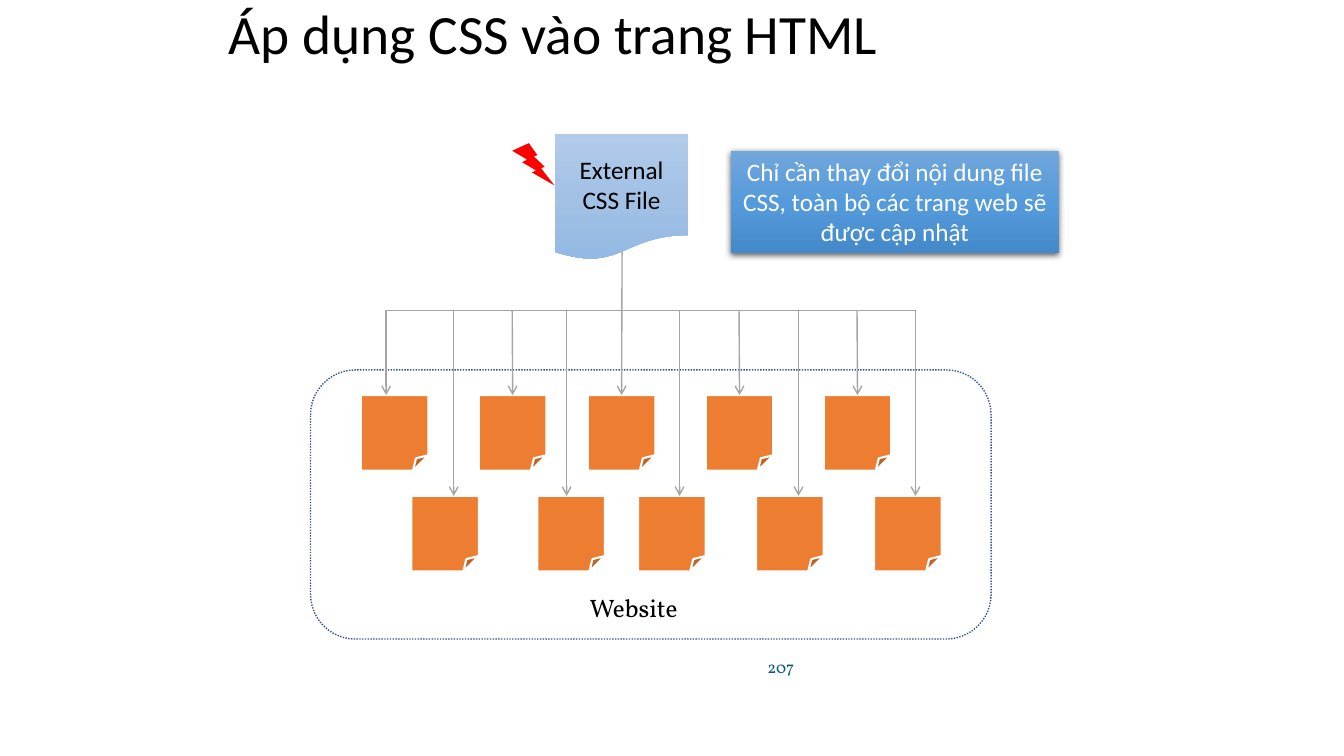
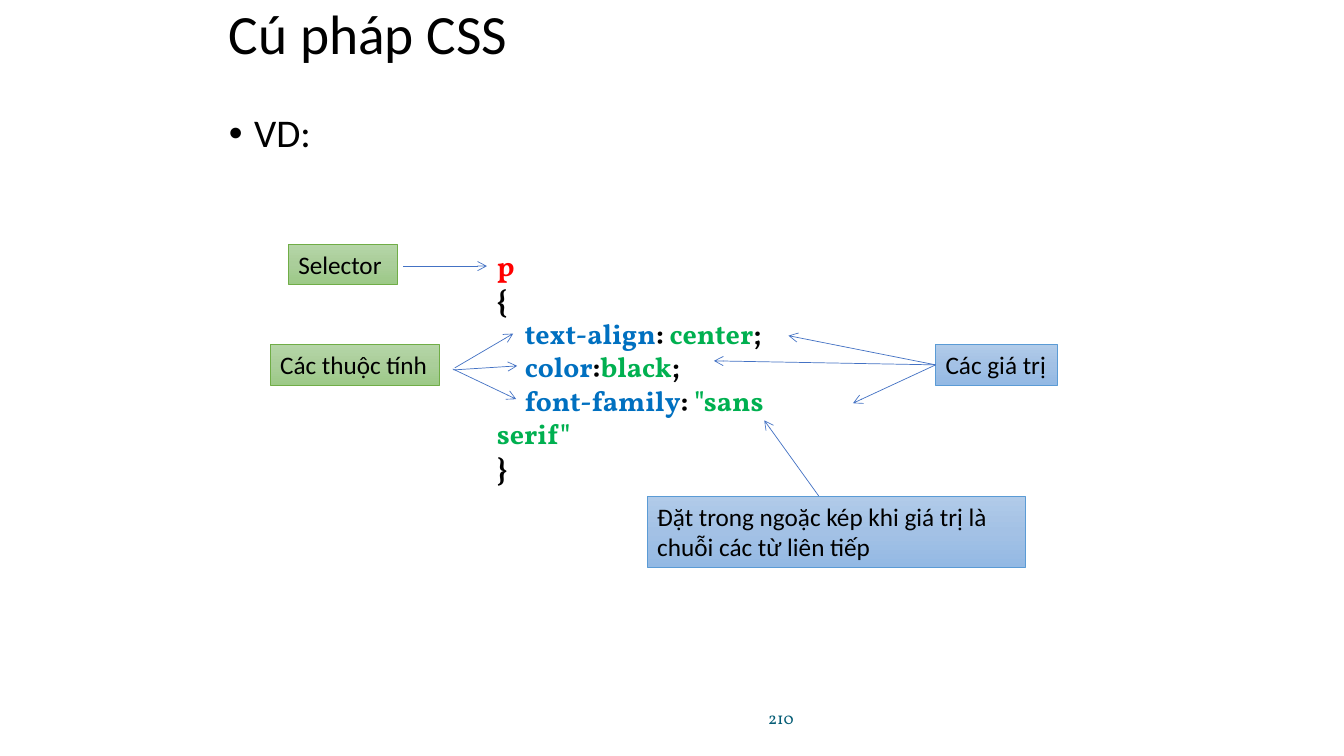
from copy import deepcopy

from lxml import etree
from pptx import Presentation
from pptx.dml.color import RGBColor
from pptx.enum.dml import MSO_LINE
from pptx.enum.shapes import MSO_CONNECTOR, MSO_SHAPE
from pptx.enum.text import MSO_ANCHOR, MSO_AUTO_SIZE, PP_ALIGN
from pptx.oxml.ns import qn
from pptx.util import Inches, Pt

LEFT, CENTER = PP_ALIGN.LEFT, PP_ALIGN.CENTER
TOP, MIDDLE = MSO_ANCHOR.TOP, MSO_ANCHOR.MIDDLE
TOP_SIDE, LEFT_SIDE = 0, 1
SANS, SERIF = "Calibri", "Vollkorn"

BLACK = RGBColor(0x00, 0x00, 0x00)
WHITE = RGBColor(0xFF, 0xFF, 0xFF)
RED = RGBColor(0xFF, 0x00, 0x00)
ORANGE = RGBColor(0xED, 0x7D, 0x31)
GRAY = RGBColor(0xA5, 0xA5, 0xA5)
NAVY = RGBColor(0x32, 0x54, 0x91)
TEAL = RGBColor(0x04, 0x5C, 0x75)
ARROW_BLUE = RGBColor(0x44, 0x72, 0xC4)
BLUE_EDGE = RGBColor(0x5B, 0x9B, 0xD5)
GREEN_EDGE = RGBColor(0x70, 0xAD, 0x47)
CODE_BLUE = RGBColor(0x00, 0x70, 0xC0)
CODE_GREEN = RGBColor(0x00, 0xB0, 0x50)
PALE_BLUE = (RGBColor(0xB1, 0xCB, 0xE9), RGBColor(0xA3, 0xC1, 0xE5), RGBColor(0x93, 0xB9, 0xE4))
PALE_GREEN = (RGBColor(0xB5, 0xD5, 0xA7), RGBColor(0xAA, 0xCE, 0x9A), RGBColor(0x9C, 0xC9, 0x87))
STRONG_BLUE = (RGBColor(0x71, 0xA6, 0xDB), RGBColor(0x55, 0x9B, 0xDB), RGBColor(0x44, 0x8A, 0xCA))

# Website rows: top of the pages, then (page left, arrow x) for each page
PAGE_WIDTH, PAGE_HEIGHT = 0.67, 0.75
PAGE_ROWS = [
    (3.92, [(3.58, 3.83), (4.75, 5.08), (5.83, 6.17), (7, 7.33), (8.17, 8.5)]),
    (4.92, [(4.08, 4.5), (5.33, 5.62), (6.33, 6.74), (7.5, 7.92), (8.67, 9.08)]),
]
BUS_Y = 3.08
FILE_BOTTOM = 2.5
FILE_CENTER = 6.17

INDENT = "     "
CODE = [
    [("p", RED)],
    [("{", BLACK)],
    [(INDENT, BLACK), ("text-align", CODE_BLUE), (": ", BLACK), ("center", CODE_GREEN), (";", BLACK)],
    [(INDENT, BLACK), ("color", CODE_BLUE), (":", BLACK), ("black", CODE_GREEN), (";", BLACK)],
    [(INDENT, BLACK), ("font-family", CODE_BLUE), (": ", BLACK), ('"sans serif"', CODE_GREEN)],
    [("}", BLACK)],
]

# text, place, gradient, edge, wraps, side its arrows are joined to, arrows
LABELS = [
    ("Selector", (2.86, 2.42, 1.08, 0.4), PALE_GREEN, GREEN_EDGE, False, None,
     [((4, 2.64), (4.83, 2.64))]),
    ("Các thuộc tính", (2.68, 3.42, 1.68, 0.4), PALE_GREEN, GREEN_EDGE, False, None,
     [((4.51, 3.65), (5.09, 3.31)), ((4.5, 3.67), (5.13, 3.63)), ((4.49, 3.66), (5.12, 3.96))]),
    ("Các giá trị", (9.28, 3.42, 1.21, 0.4), PALE_BLUE, BLUE_EDGE, False, LEFT_SIDE,
     [((9.28, 3.62), end) for end in ((7.82, 3.33), (7.08, 3.58), (8.46, 4))]),
    ("Đặt trong ngoặc kép khi giá trị là chuỗi các từ liên tiếp",
     (6.42, 4.92, 3.75, 0.71), PALE_BLUE, BLUE_EDGE, True, None,
     [((8.12, 4.92), (7.58, 4.17))]),
]


def inches(place):
    return [Inches(value) for value in place]


def write(shape, text, size=18, font=SANS, color=BLACK, align=LEFT, anchor=TOP, wrap=True):
    frame = shape.text_frame
    frame.text = text
    frame.word_wrap = wrap
    frame.auto_size = MSO_AUTO_SIZE.NONE
    frame.vertical_anchor = anchor
    para = frame.paragraphs[0]
    para.alignment = align
    para.font.size, para.font.name, para.font.color.rgb = Pt(size), font, color
    return para


def add_text(slide, place, text, **style):
    return write(slide.shapes.add_textbox(*inches(place)), text, **style)


def add_box(slide, kind, place, fill=None, edge=None, width=0.5):
    """Add a preset shape; fill is a colour, a tuple of three gradient colours, or None."""
    box = slide.shapes.add_shape(kind, *inches(place))
    box.shadow.inherit = False
    if fill is None:
        box.fill.background()
    elif isinstance(fill, RGBColor):
        box.fill.solid()
        box.fill.fore_color.rgb = fill
    else:
        box.fill.gradient()
        box.fill.gradient_angle = 270
        stop_list = box.element.spPr.find(".//" + qn("a:gsLst"))
        stop_list.insert(1, deepcopy(stop_list[0]))
        for stop, color, position in zip(box.fill.gradient_stops, fill, (0, 0.5, 1)):
            stop.color.rgb = color
            stop.position = position
    if edge is None:
        box.line.fill.background()
    else:
        box.line.color.rgb = edge
        box.line.width = Pt(width)
    return box


def add_line(slide, start, end, color, width, arrow=True):
    line = slide.shapes.add_connector(MSO_CONNECTOR.STRAIGHT, *inches(start + end))
    line.line.color.rgb = color
    line.line.width = Pt(width)
    if arrow:
        outline = line.element.spPr.find(qn("a:ln"))
        etree.SubElement(outline, qn("a:tailEnd"), type="arrow")
    etree.SubElement(line.element.spPr, qn("a:effectLst"))
    return line


def add_drop_shadow(box):
    effects = box.element.spPr.find(qn("a:effectLst"))
    shadow = etree.SubElement(effects, qn("a:outerShdw"), blurRad=str(Pt(4.5)), dist=str(Pt(1.5)),
                              dir="5400000", algn="ctr", rotWithShape="0")
    color = etree.SubElement(shadow, qn("a:srgbClr"), val=str(BLACK))
    etree.SubElement(color, qn("a:alpha"), val="63000")


def set_fold(page, share):
    guides = page.element.spPr.find(".//" + qn("a:avLst"))
    etree.SubElement(guides, qn("a:gd"), name="adj", fmla=f"val {round(share * 100000)}")


def move(shape, place):
    shape.left, shape.top, shape.width, shape.height = inches(place)


def add_slide(deck, layout, title, number, number_top):
    slide = deck.slides.add_slide(deck.slide_layouts.get_by_name(layout))
    move(slide.shapes.title, (2.17, 0, 9, 0.73))
    write(slide.shapes.title, title, size=39.6, anchor=MIDDLE).line_spacing = 0.9
    add_text(slide, (6.46, number_top, 2.57, 0.4), number, size=12, font=SERIF,
             color=TEAL, align=CENTER, anchor=MIDDLE)
    return slide


def build_website_slide(deck):
    slide = add_slide(deck, "Title Only", "Áp dụng CSS vào trang HTML", "207", 6.42)
    website = add_box(slide, MSO_SHAPE.ROUNDED_RECTANGLE, (3.08, 3.67, 6.75, 2.67), edge=NAVY, width=1)
    website.line.dash_style = MSO_LINE.ROUND_DOT
    css_file = add_box(slide, MSO_SHAPE.FLOWCHART_DOCUMENT, (5.5, 1.33, 1.33, 1.25), PALE_BLUE)
    write(css_file, "External CSS File", align=CENTER, anchor=MIDDLE)

    arrow_xs = [x for _, pages in PAGE_ROWS for _, x in pages]
    add_line(slide, (min(arrow_xs), BUS_Y), (max(arrow_xs), BUS_Y), GRAY, 1, arrow=False)
    for top, pages in PAGE_ROWS:
        for left, x in pages:
            page = add_box(slide, MSO_SHAPE.FOLDED_CORNER, (left, top, PAGE_WIDTH, PAGE_HEIGHT),
                           ORANGE, WHITE, 1.5)
            set_fold(page, 0.23)
            start = FILE_BOTTOM if x == FILE_CENTER else BUS_Y
            arrow = add_line(slide, (x, start), (x, top), GRAY, 1)
            if abs(left + PAGE_WIDTH / 2 - x) < 0.01:
                arrow.end_connect(page, TOP_SIDE)

    note = add_box(slide, MSO_SHAPE.RECTANGLE, (7.25, 1.5, 3.25, 1.01), STRONG_BLUE)
    add_drop_shadow(note)
    write(note, "Chỉ cần thay đổi nội dung file CSS, toàn bộ các trang web sẽ được cập nhật",
          color=WHITE, align=CENTER)
    add_box(slide, MSO_SHAPE.LIGHTNING_BOLT, (5.08, 1.42, 0.42, 0.42), RED)
    add_text(slide, (5.75, 5.83, 1.1, 0.4), "Website", font=SERIF, wrap=False)


def build_syntax_slide(deck):
    slide = add_slide(deck, "Title and Content", "Cú pháp CSS", "210", 6.92)
    body = slide.placeholders[1]
    move(body, (2.17, 1.08, 9, 5.2))
    para = write(body, "VD:", size=28)
    para.line_spacing = 0.9
    para.space_before = Pt(0)
    properties = para._p.get_or_add_pPr()
    properties.set("marL", str(Inches(0.25)))
    properties.set("indent", str(Inches(-0.25)))

    code_box = slide.shapes.add_textbox(*inches((4.83, 2.42, 3.5, 2.12)))
    frame = code_box.text_frame
    frame.word_wrap = True
    for index, spans in enumerate(CODE):
        para = frame.paragraphs[0] if index == 0 else frame.add_paragraph()
        para.font.size, para.font.name, para.font.bold = Pt(20), SERIF, True
        for text, color in spans:
            span = para.add_run()
            span.text = text
            span.font.color.rgb = color

    for text, place, fill, edge, wrap, side, arrows in LABELS:
        label = add_box(slide, MSO_SHAPE.RECTANGLE, place, fill, edge)
        write(label, text, wrap=wrap)
        for start, end in arrows:
            arrow = add_line(slide, start, end, ARROW_BLUE, 0.5)
            if side is not None:
                arrow.begin_connect(label, side)


def main():
    deck = Presentation()
    deck.slide_width, deck.slide_height = Inches(13.33), Inches(7.5)
    build_website_slide(deck)
    build_syntax_slide(deck)
    deck.save("out.pptx")


if __name__ == "__main__":
    main()
